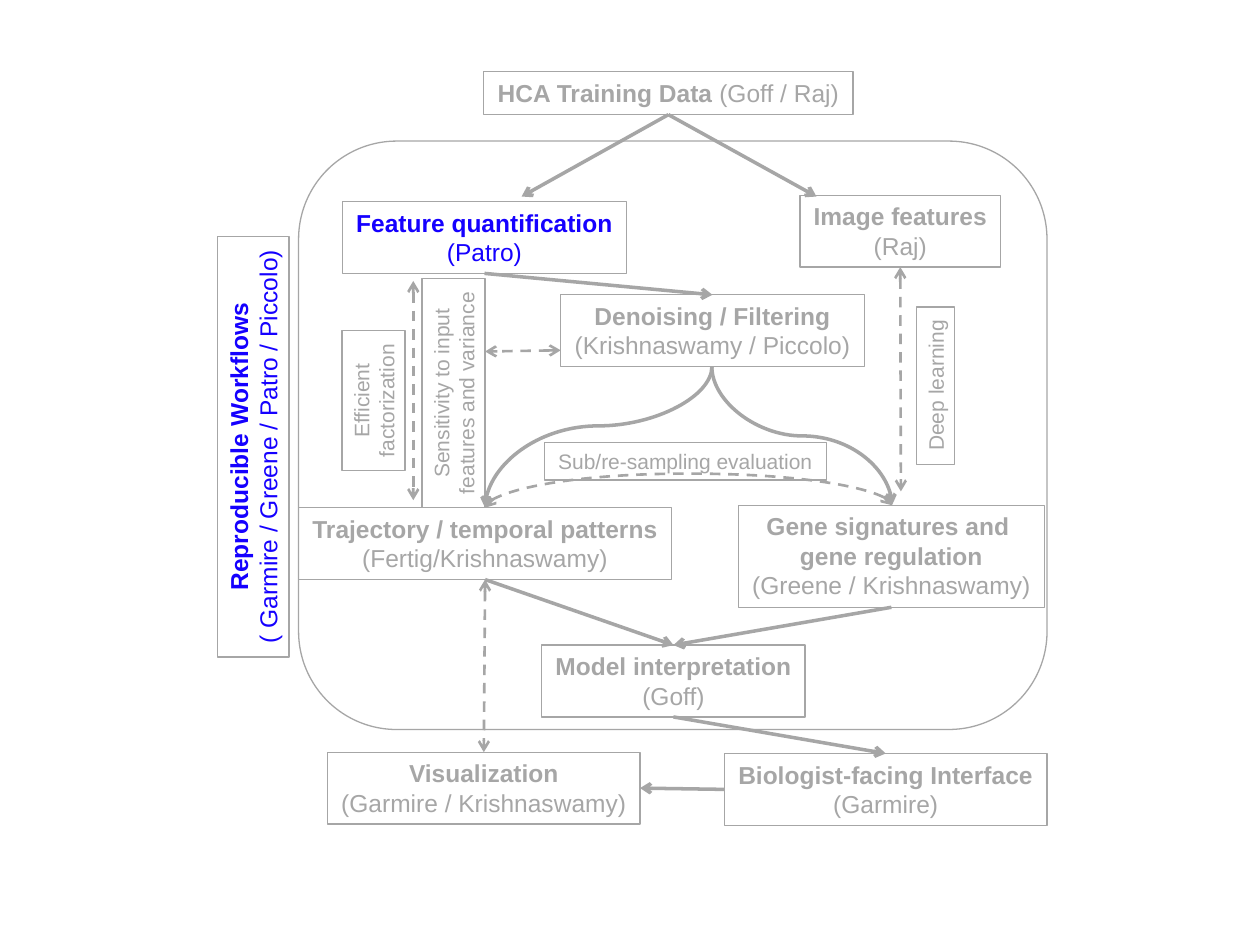
from collections import namedtuple

from lxml import etree
from pptx import Presentation
from pptx import util as u
from pptx.dml.color import RGBColor
from pptx.enum import dml, shapes, text
from pptx.oxml import ns

GRAY = RGBColor(0xA6, 0xA6, 0xA6)
BLUE = RGBColor(0x15, 0x00, 0xFF)
TOP, LEFT, BOTTOM, RIGHT = range(4)

Anchor = namedtuple("Anchor", "shape side")


def add_frame(slide, left, top, width, height):
    frame = slide.shapes.add_shape(
        shapes.MSO_SHAPE.ROUNDED_RECTANGLE,
        u.Inches(left), u.Inches(top), u.Inches(width), u.Inches(height))
    frame.shadow.inherit = False
    frame.fill.background()
    frame.line.color.rgb = GRAY
    frame.line.width = u.Pt(0.75)


def add_box(slide, at, paragraphs, size=14, color=GRAY, rotation=0):
    """Add an outlined box; each paragraph is a list of (words, bold) runs."""
    box = slide.shapes.add_textbox(*(u.Inches(length) for length in at))
    box.rotation = rotation
    box.line.color.rgb = GRAY
    box.line.width = u.Pt(0.75)
    frame = box.text_frame
    frame.word_wrap = False
    frame.auto_size = text.MSO_AUTO_SIZE.SHAPE_TO_FIT_TEXT
    for index, runs in enumerate(paragraphs):
        paragraph = frame.add_paragraph() if index else frame.paragraphs[0]
        paragraph.alignment = text.PP_ALIGN.CENTER
        for words, bold in runs:
            run = paragraph.add_run()
            run.text = words
            run.font.name = "Arial"
            run.font.size = u.Pt(size)
            run.font.bold = bold
            run.font.color.rgb = color
    return box


def add_topic(slide, at, titles, people, **style):
    """Add a box with bold title lines above the people in charge."""
    paragraphs = [[(title, True)] for title in titles] + [[(people, False)]]
    return add_box(slide, at, paragraphs, **style)


def add_note(slide, at, *lines, rotation=0):
    add_box(slide, at, [[(line, False)] for line in lines], 12, rotation=rotation)


def style_connector(connector, dashed):
    """Dashed connectors point both ways, solid ones only forward."""
    connector.line.color.rgb = GRAY
    connector.line.width = u.Pt(1.5 if dashed else 2)
    if dashed:
        connector.line.dash_style = dml.MSO_LINE.DASH
    line = connector.line._get_or_add_ln()
    for end in ("headEnd", "tailEnd") if dashed else ("tailEnd",):
        etree.SubElement(line, ns.qn(f"a:{end}"), type="arrow")
    etree.SubElement(connector._element.spPr, ns.qn("a:effectLst"))


def add_arrow(slide, begin, end, dashed=False):
    """Draw a straight arrow; each end is an Anchor or an (x, y) point."""
    points = [(0, 0) if isinstance(place, Anchor) else place for place in (begin, end)]
    connector = slide.shapes.add_connector(
        shapes.MSO_CONNECTOR.STRAIGHT,
        *(u.Inches(value) for point in points for value in point))
    if isinstance(begin, Anchor):
        connector.begin_connect(*begin)
    if isinstance(end, Anchor):
        connector.end_connect(*end)
    style_connector(connector, dashed)


def add_curve(slide, begin, end, middle, dashed=False):
    """Draw an S or arch that leaves vertically and turns at height middle."""
    (x1, y1), (x2, y2) = begin, end
    width, height = abs(y2 - y1), abs(x2 - x1)
    left, top = (x1 + x2 - width) / 2, (y1 + y2 - height) / 2
    connector = slide.shapes.add_connector(
        shapes.MSO_CONNECTOR.CURVE, u.Inches(left), u.Inches(top),
        u.Inches(left + width), u.Inches(top + height))
    rightward, upward = x2 > x1, y2 < y1
    properties = connector._element.spPr
    transform = properties.find(ns.qn("a:xfrm"))
    transform.set("rot", str((270 if rightward and not upward else 90) * 60000))
    transform.set("flipH", str(int(rightward)))
    transform.set("flipV", str(int(upward)))
    guides = properties.find(ns.qn("a:prstGeom")).get_or_add_avLst()
    bend = round((middle - y1) / (y2 - y1) * 100000)
    etree.SubElement(guides, ns.qn("a:gd"), name="adj1", fmla=f"val {bend}")
    style_connector(connector, dashed)


def main():
    presentation = Presentation()
    presentation.slide_width = u.Inches(10)
    presentation.slide_height = u.Inches(7.5)
    slide = presentation.slides.add_slide(presentation.slide_layouts[6])

    add_frame(slide, 2.37, 1.12, 5.94, 4.67)
    training = add_box(slide, (3.84, 0.57, 2.93, 0.34),
                       [[("HCA Training Data ", True), ("(Goff / Raj)", False)]])
    add_topic(slide, (0.34, 3.26, 3.34, 0.57), ["Reproducible Workflows"],
              "( Garmire / Greene / Patro / Piccolo)", color=BLUE, rotation=270)
    features = add_topic(slide, (2.72, 1.6, 2.25, 0.57),
                         ["Feature quantification"], "(Patro)", color=BLUE)
    images = add_topic(slide, (6.35, 1.55, 1.59, 0.57), ["Image features"], "(Raj)")
    denoising = add_topic(slide, (4.45, 2.34, 2.41, 0.57),
                          ["Denoising / Filtering"], "(Krishnaswamy / Piccolo)")
    trajectory = add_topic(slide, (2.37, 4.03, 2.96, 0.57),
                           ["Trajectory / temporal patterns"], "(Fertig/Krishnaswamy)")
    genes = add_topic(slide, (5.86, 4.01, 2.43, 0.81),
                      ["Gene signatures and ", "gene regulation"],
                      "(Greene / Krishnaswamy)")
    model = add_topic(slide, (4.3, 5.12, 2.09, 0.57), ["Model interpretation"], "(Goff)")
    visualization = add_topic(slide, (2.6, 5.97, 2.48, 0.57),
                              ["Visualization"], "(Garmire / Krishnaswamy)")
    interface = add_topic(slide, (5.75, 5.98, 2.56, 0.57),
                          ["Biologist-facing Interface"], "(Garmire)")

    add_note(slide, (2.41, 2.93, 1.11, 0.5), "Efficient", "factorization", rotation=270)
    add_note(slide, (2.69, 2.87, 1.82, 0.5), "Sensitivity to input",
             "features and variance", rotation=270)
    add_note(slide, (6.8, 2.91, 1.25, 0.3), "Deep learning", rotation=270)
    add_note(slide, (4.32, 3.51, 2.24, 0.3), "Sub/re-sampling evaluation")

    for target in ((4.14, 1.56), (6.48, 1.56)):
        add_arrow(slide, Anchor(training, BOTTOM), target)
    for source, target in ((features, denoising), (trajectory, model),
                           (genes, model), (model, interface)):
        add_arrow(slide, Anchor(source, BOTTOM), Anchor(target, TOP))
    add_arrow(slide, Anchor(interface, LEFT), Anchor(visualization, RIGHT))

    add_arrow(slide, Anchor(trajectory, BOTTOM), Anchor(visualization, TOP), dashed=True)
    add_arrow(slide, Anchor(images, BOTTOM), (7.15, 3.9), dashed=True)
    add_arrow(slide, (3.28, 2.23), (3.28, 3.97), dashed=True)
    add_arrow(slide, (4.45, 2.78), (3.85, 2.79), dashed=True)

    denoising_bottom = (5.65, 2.91)
    trajectory_top, genes_top = (3.85, 4.03), (7.08, 4.01)
    add_curve(slide, denoising_bottom, trajectory_top, 3.38)
    add_curve(slide, denoising_bottom, genes_top, 3.46)
    add_curve(slide, trajectory_top, genes_top, 3.76, dashed=True)

    presentation.save("out.pptx")


if __name__ == "__main__":
    main()
